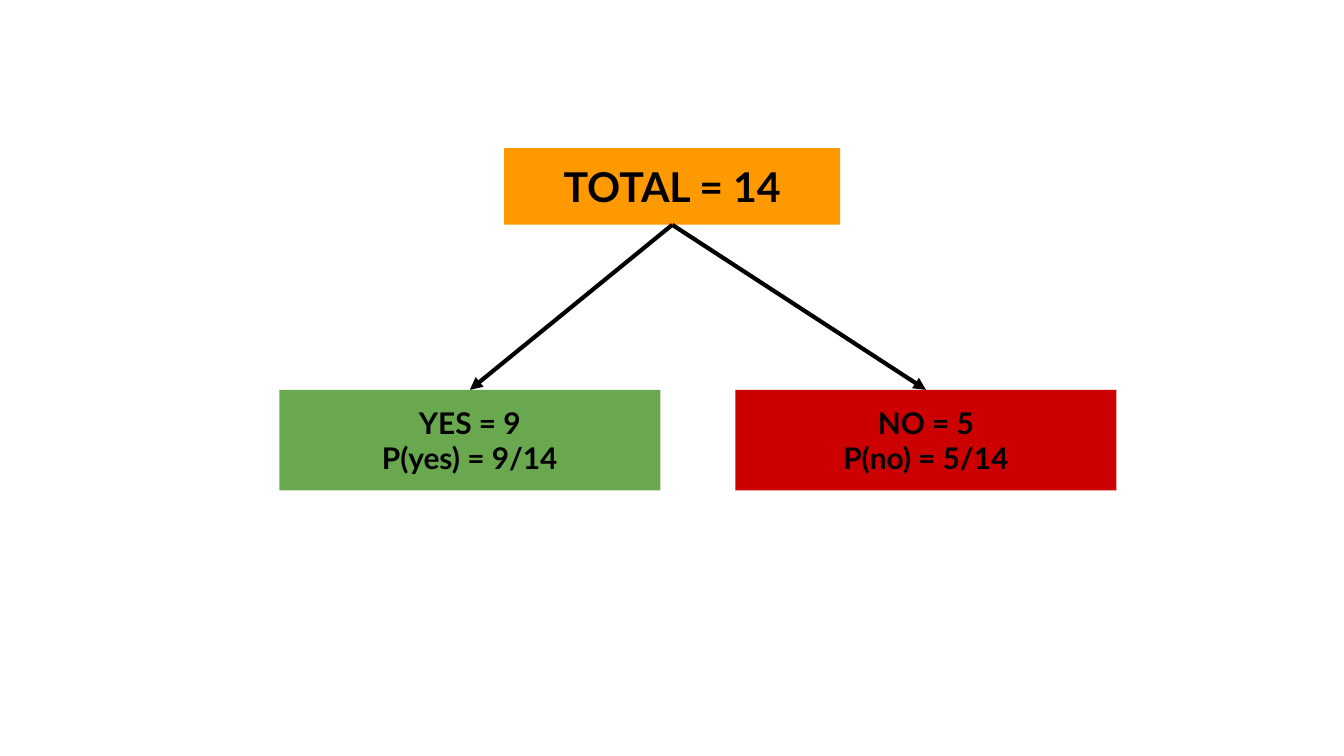
import pptx
import pptx.dml.color
import pptx.enum.shapes
import pptx.enum.text
import pptx.oxml.ns
import pptx.util
from lxml import etree
from pptx.util import Cm

COLOURS = {
    "total": "FF9900",
    "yes": "6AA84F",
    "no": "CC0000",
    "ink": "000000",
}
BOTTOM, TOP = 2, 0


def rgb(name):
    return pptx.dml.color.RGBColor.from_string(COLOURS[name])


def apply_format(target, values):
    for attribute, value in values.items():
        setattr(target, attribute, value)


def add_node(slide, box, colour, lines, size):
    node = slide.shapes.add_shape(
        pptx.enum.shapes.MSO_SHAPE.RECTANGLE, *(Cm(length) for length in box)
    )
    node.shadow.inherit = False
    node.fill.solid()
    node.fill.fore_color.rgb = rgb(colour)
    node.line.fill.background()
    frame = node.text_frame
    inset = Cm(0.25)
    apply_format(frame, {
        "margin_left": inset,
        "margin_top": inset,
        "margin_right": inset,
        "margin_bottom": inset,
        "word_wrap": True,
        "vertical_anchor": pptx.enum.text.MSO_ANCHOR.MIDDLE,
    })
    for index, line in enumerate(lines):
        paragraph = frame.add_paragraph() if index else frame.paragraphs[0]
        paragraph.alignment = pptx.enum.text.PP_ALIGN.CENTER
        run = paragraph.add_run()
        run.text = line
        apply_format(run.font, {
            "name": "Lato", "size": pptx.util.Pt(size), "bold": True,
        })
        run.font.color.rgb = rgb("ink")
    return node


def add_branch(slide, parent, child):
    branch = slide.shapes.add_connector(
        pptx.enum.shapes.MSO_CONNECTOR.STRAIGHT, 0, 0, 0, 0
    )
    branch.begin_connect(parent, BOTTOM)
    branch.end_connect(child, TOP)
    branch.line.width = pptx.util.Pt(2.25)
    branch.line.color.rgb = rgb("ink")
    qn = pptx.oxml.ns.qn
    etree.SubElement(branch.line._get_or_add_ln(), qn("a:tailEnd"), type="triangle")
    etree.SubElement(branch._element.spPr, qn("a:effectLst"))


def add_probability_tree(slide, left, top, width, height):
    total_width, total_height = 6.35, 1.45
    outcome_width, outcome_height = 7.2, 1.9
    total = add_node(
        slide, (left + 4.25, top, total_width, total_height),
        "total", ["TOTAL = 14"], 22,
    )
    outcomes = [
        ("yes", ["YES = 9", "P(yes) = 9/14"]),
        ("no", ["NO = 5", "P(no) = 5/14"]),
    ]
    step = width - outcome_width
    outcome_top = top + height - outcome_height
    nodes = [
        add_node(
            slide, (left + index * step, outcome_top, outcome_width, outcome_height),
            colour, lines, 16,
        )
        for index, (colour, lines) in enumerate(outcomes)
    ]
    for node in nodes:
        add_branch(slide, total, node)


def main():
    deck = pptx.Presentation()
    apply_format(deck, {"slide_width": Cm(25.4), "slide_height": Cm(14.29)})
    slide = deck.slides.add_slide(deck.slide_layouts[6])
    add_probability_tree(slide, left=5.28, top=2.8, width=15.82, height=6.47)
    deck.save("out.pptx")


if __name__ == "__main__":
    main()
